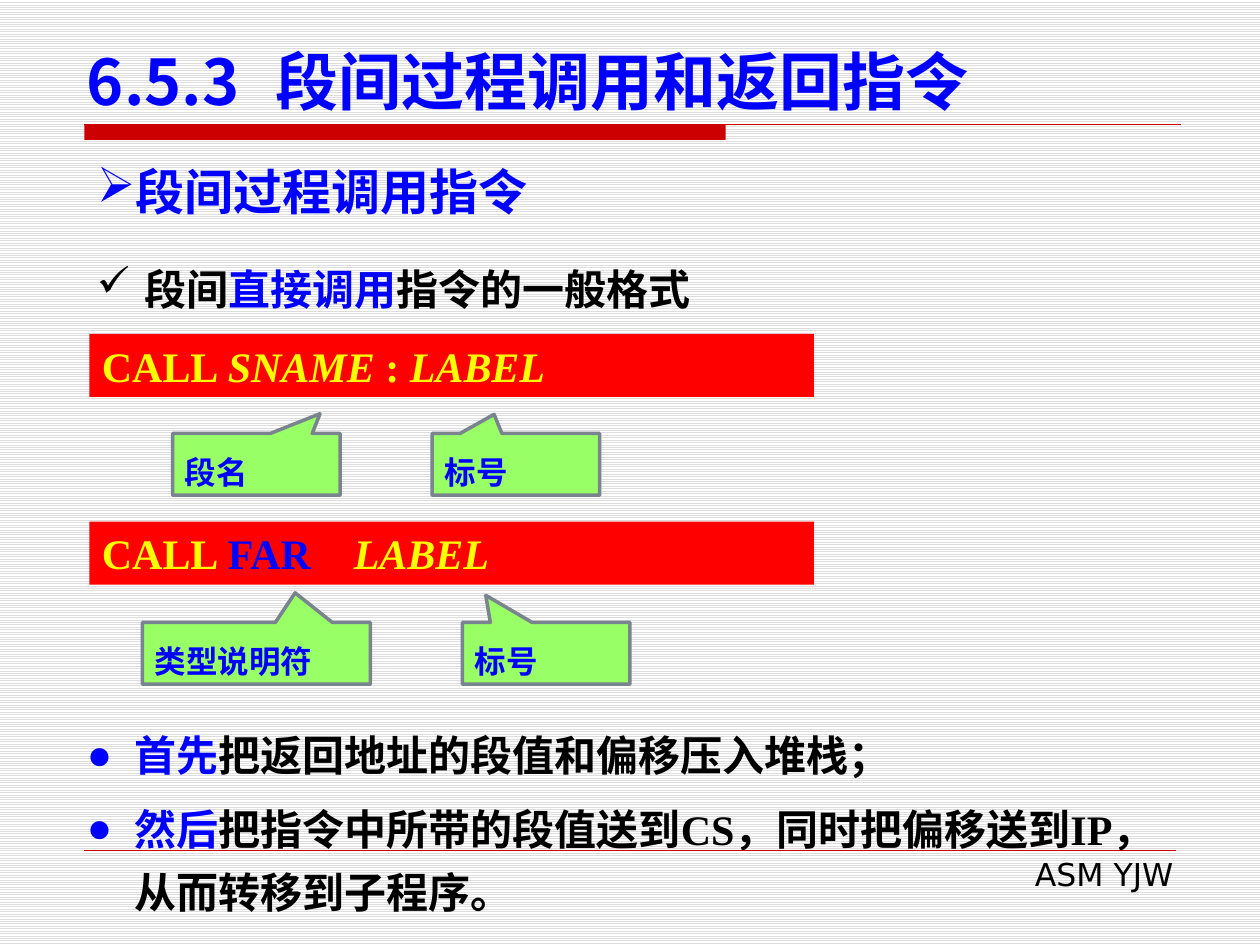
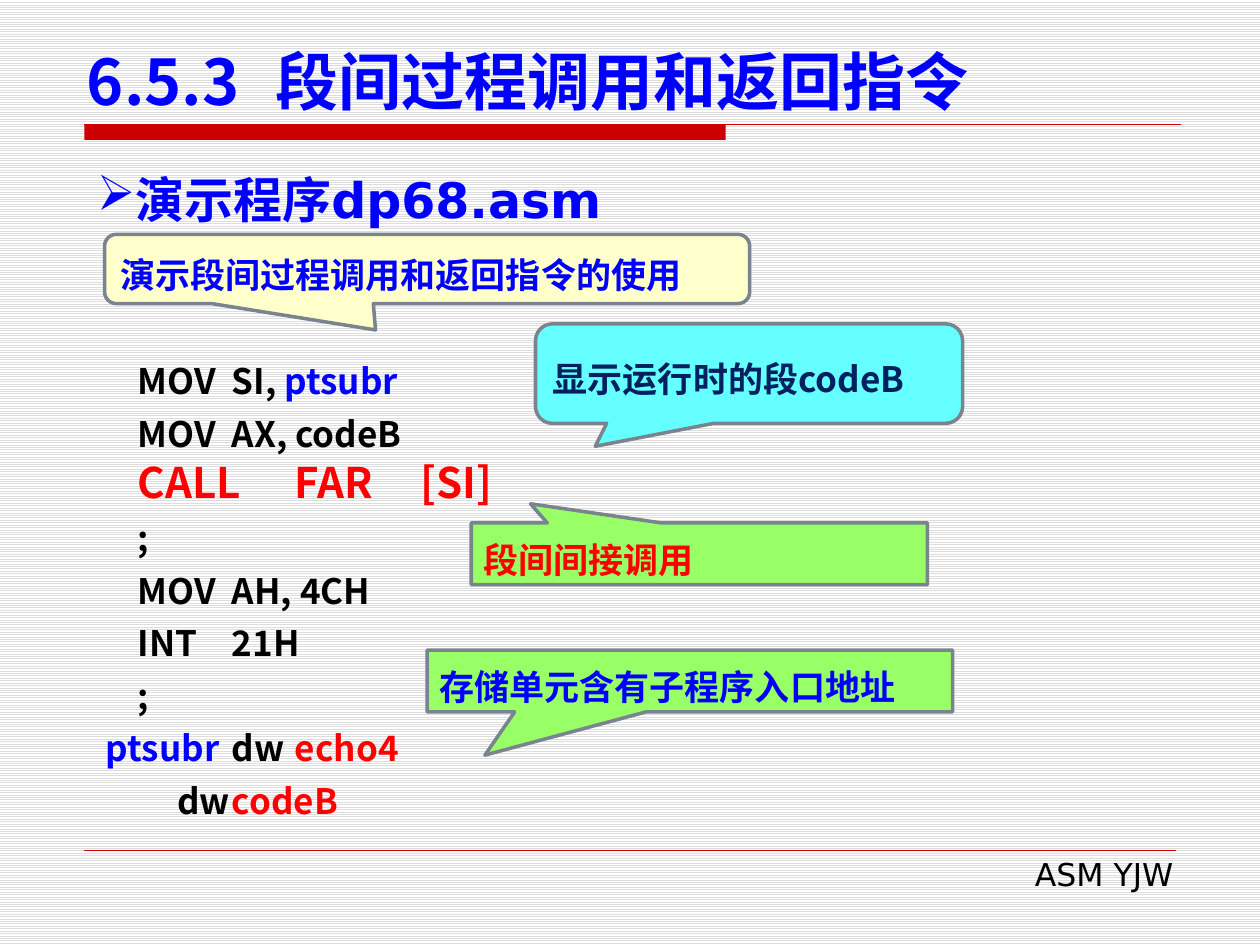
from lxml.etree import SubElement
from pptx import Presentation
from pptx.dml.color import RGBColor
from pptx.enum.dml import MSO_PATTERN
from pptx.enum.shapes import MSO_CONNECTOR, MSO_SHAPE
from pptx.enum.text import MSO_ANCHOR, MSO_AUTO_SIZE, PP_ALIGN
from pptx.oxml.ns import qn
from pptx.util import Inches, Pt

HUES = {
    "blue": "0000FF", "black": "000000", "red": "FF0000", "band": "CC0000",
    "yellow": "FFFF00", "green": "99FF66", "cream": "FFFFCC", "cyan": "66FFFF",
    "navy": "002060", "edge": "79848F", "stripe": "DDDDDD", "white": "FFFFFF",
}
SANS, CJK, SERIF = "DejaVu Sans", "Noto Sans CJK SC", "Times New Roman"
TITLE = "6.5.3\t段间过程调用和返回指令"
RECT, ROUND = MSO_SHAPE.RECTANGULAR_CALLOUT, MSO_SHAPE.ROUNDED_RECTANGULAR_CALLOUT


def hue(name):
    return RGBColor.from_string(HUES[name])


class Deck:
    def __init__(self):
        self.prs = Presentation()
        self.prs.slide_width, self.prs.slide_height = Inches(10), Inches(7.5)
        fill = self.prs.slide_master.background.fill
        fill.patterned()
        fill.pattern = MSO_PATTERN.LIGHT_HORIZONTAL
        fill.fore_color.rgb, fill.back_color.rgb = hue("stripe"), hue("white")

    def start(self):
        """Add a slide with the shared title, band and footer."""
        self.slide = self.prs.slides.add_slide(self.prs.slide_layouts[1])
        self.shapes = self.slide.shapes
        title = self.place(self.shapes.title, (0.59, 0.28, 9.06, 0.71), MSO_ANCHOR.BOTTOM)
        self.style(title.paragraphs[0], TITLE, 36, "blue", CJK, tabs=[1.57])
        self.block(MSO_SHAPE.RECTANGLE, (0.67, 0.99, 5.09, 0.12), "band")
        self.line(0.67, 9.37, 0.99, 0.75)
        self.line(0.67, 9.33, 6.75, 0.25)
        self.text((3.82, 6.74, 5.59, 0.4), "ASM YJW", 18, "black", SANS,
                  bold=False, align=PP_ALIGN.RIGHT)

    def place(self, holder, box, anchor=MSO_ANCHOR.TOP):
        """Move a placeholder and return its text frame."""
        holder.left, holder.top, holder.width, holder.height = map(Inches, box)
        frame = holder.text_frame
        frame.auto_size, frame.vertical_anchor = MSO_AUTO_SIZE.NONE, anchor
        return frame

    def style(self, para, runs, size, tint, face, bold=True, align=PP_ALIGN.LEFT,
              mark=None, hang=0, tabs=(), lead=1.0, before=0):
        """Fill a paragraph; a run is a string or (string, changes)."""
        props = para._p.get_or_add_pPr()
        props.set("marL", str(Inches(hang)))
        props.set("indent", str(-Inches(hang)))
        if mark:
            SubElement(props, qn("a:buChar"), char=mark)
        else:
            SubElement(props, qn("a:buNone"))
        if tabs:
            stops = SubElement(props, qn("a:tabLst"))
            for tab in tabs:
                SubElement(stops, qn("a:tab"), pos=str(Inches(tab)), algn="l")
        para.alignment, para.line_spacing = align, lead
        para.space_before = Pt(before)
        font = para.font
        font.name, font.size, font.bold = face, Pt(size), bold
        font.color.rgb = hue(tint)
        SubElement(props.find(qn("a:defRPr")), qn("a:ea"), typeface=CJK)
        for item in [runs] if isinstance(runs, str) else runs:
            words, look = (item, {}) if isinstance(item, str) else item
            run = para.add_run()
            run.text = words
            if "tint" in look:
                run.font.color.rgb = hue(look["tint"])
            if "size" in look:
                run.font.size = Pt(look["size"])
            if "slant" in look:
                run.font.italic = look["slant"]

    def text(self, box, runs, size, tint, face, **look):
        frame = self.shapes.add_textbox(*map(Inches, box)).text_frame
        frame.word_wrap = True
        self.style(frame.paragraphs[0], runs, size, tint, face, **look)

    def body(self, box, rows, size, face, gap=0, **look):
        """Fill the body placeholder with (runs, tabs) rows."""
        frame = self.place(self.slide.placeholders[1], box)
        for i, (runs, tabs) in enumerate(rows):
            para = frame.add_paragraph() if i else frame.paragraphs[0]
            self.style(para, runs, size, "black", face, tabs=tabs,
                       before=gap if i else 0, **look)

    def block(self, kind, box, fill):
        shape = self.shapes.add_shape(kind, *map(Inches, box))
        shape.shadow.inherit = False
        shape.fill.solid()
        shape.fill.fore_color.rgb = hue(fill)
        shape.line.fill.background()
        return shape

    def line(self, left, right, y, width):
        rule = self.shapes.add_connector(
            MSO_CONNECTOR.STRAIGHT, Inches(left), Inches(y), Inches(right), Inches(y))
        rule.line.color.rgb, rule.line.width = hue("band"), Pt(width)
        SubElement(rule._element.spPr, qn("a:effectLst"))

    def bar(self, y, runs, tabs):
        """Draw a red strip that holds one instruction."""
        frame = self.block(MSO_SHAPE.RECTANGLE, (0.71, y, 5.75, 0.5), "red").text_frame
        self.style(frame.paragraphs[0], runs, 24, "yellow", SERIF, tabs=tabs)

    def note(self, box, tip, words, size=20, tint="blue", fill="green",
             kind=RECT, face=SANS):
        """Draw a callout whose tip is a fraction of its size from its centre."""
        shape = self.block(kind, box, fill)
        shape.line.color.rgb, shape.line.width = hue("edge"), Pt(2)
        for i, part in enumerate(tip):
            shape.adjustments[i] = part
        frame = shape.text_frame
        frame.vertical_anchor = MSO_ANCHOR.MIDDLE
        self.style(frame.paragraphs[0], words, size, tint, face, lead=Pt(30))


def calls(deck):
    blue, slant = {"tint": "blue"}, {"slant": True}
    deck.start()
    deck.text((0.67, 1.23, 8.66, 0.57), "段间过程调用指令", 28, "blue", SANS,
              mark="➢", align=PP_ALIGN.JUSTIFY)
    deck.text((0.67, 1.94, 8.82, 0.61), ["段间", ("直接调用", blue), "指令的一般格式"],
              24, "black", CJK, mark="✓", hang=0.38, lead=Pt(36))
    deck.bar(2.65, ["CALL\t", ("SNAME", slant), " : ", ("LABEL", slant)], [1.4])
    deck.bar(4.14, ["CALL\t", ("FAR\t", blue), ("LABEL", slant)], [1.4, 2.31])
    for x, y, width, tip, words in [
        (1.37, 3.44, 1.33, (0.38, -0.82), "段名"),
        (3.43, 3.44, 1.33, (-0.13, -0.81), "标号"),
        (3.67, 4.94, 1.33, (-0.36, -0.94), "标号"),
        (1.13, 4.94, 1.81, (0.17, -0.98), "类型说明符"),
    ]:
        deck.note((x, y, width, 0.49), tip, words, size=18)
    deck.body((0.59, 5.64, 8.81, 1.65), [
        ([("首先", blue), "把返回地址的段值和偏移压入堆栈；"], ()),
        ([("然后", blue),
          "把指令中所带的段值送到CS，同时把偏移送到IP，从而转移到子程序。"], ()),
    ], 24, SERIF, gap=6, mark="●", hang=0.38, lead=Pt(36))


def demo(deck):
    blue, red = {"tint": "blue"}, {"tint": "red"}
    deck.start()
    deck.text((0.67, 1.11, 8.66, 0.67), "演示程序dp68.asm", 28, "blue", SANS,
              mark="➢", align=PP_ALIGN.JUSTIFY, lead=1.4)
    deck.body((0.74, 2.72, 8.35, 3.89), [
        (["    MOV\tSI, ", ("ptsubr", blue)], [1.07]),
        ("    MOV\tAX, codeB", [1.07]),
        (["    ", ("CALL\tFAR\t[SI]", {"tint": "red", "size": 24})], [1.23, 2.01]),
        ("    ;", ()),
        ("    MOV\tAH, 4CH", [1.07]),
        ("    INT\t21H", [0.91]),
        ("    ;", ()),
        ([("ptsubr\t", blue), "dw\t", ("echo4", red)], [1.1, 1.7]),
        (["         dw\t", ("codeB", red)], [1.17]),
    ], 20, CJK, lead=Pt(30))
    deck.note((3.74, 4.15, 3.62, 0.49), (-0.37, -0.81), "段间间接调用", tint="red")
    deck.note((3.39, 5.16, 4.17, 0.49), (-0.39, 1.2), "存储单元含有子程序入口地址")
    deck.note((0.83, 1.86, 5.12, 0.55), (-0.08, 0.88, 0.17),
              "演示段间过程调用和返回指令的使用", fill="cream", kind=ROUND, face=CJK)
    deck.note((4.25, 2.57, 3.39, 0.79), (-0.36, 0.73, 0.17),
              "显示运行时的段codeB", tint="navy", fill="cyan", kind=ROUND, face=CJK)


def main():
    deck = Deck()
    calls(deck)
    demo(deck)
    deck.prs.save("out.pptx")


if __name__ == "__main__":
    main()
